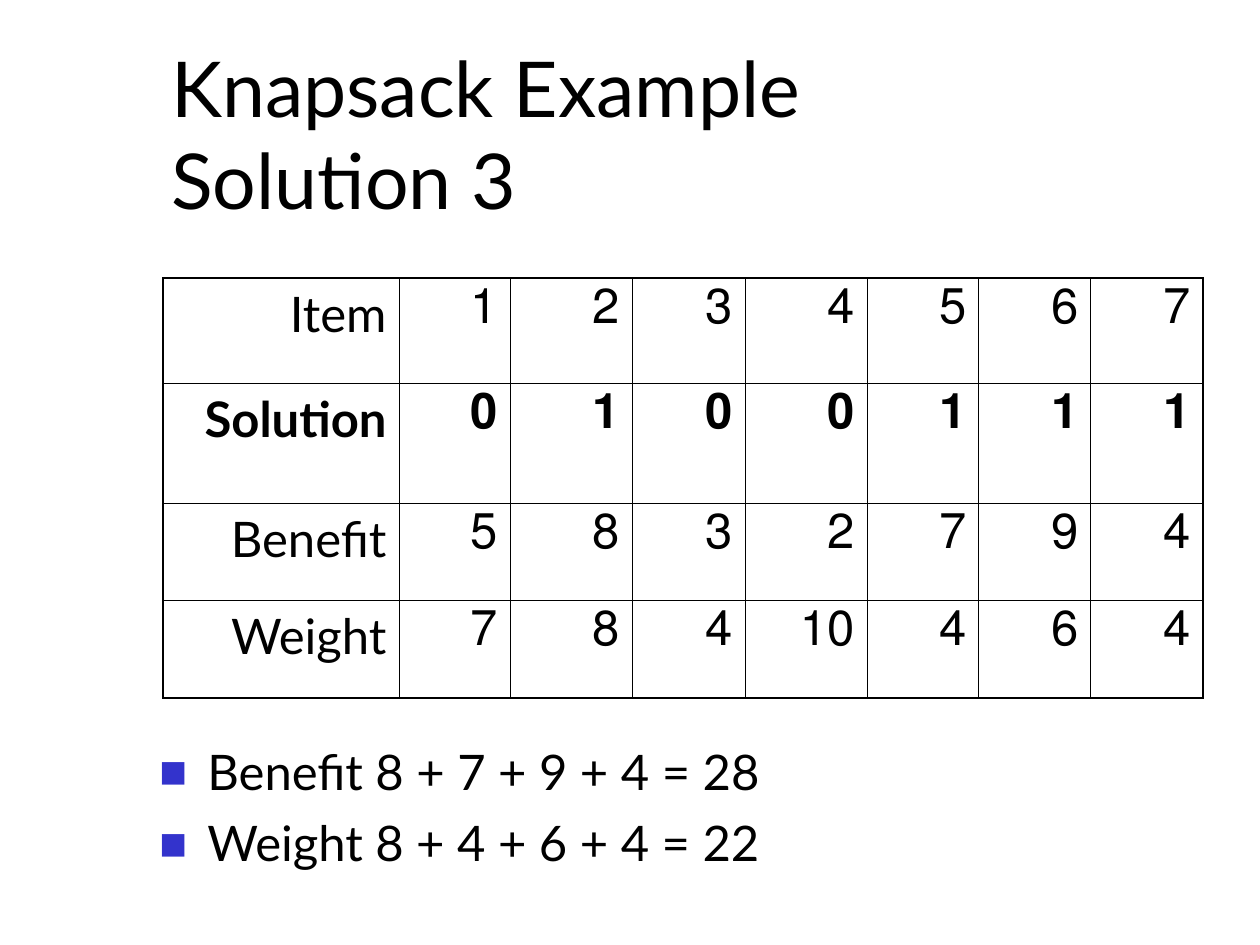
from dataclasses import dataclass

from lxml.etree import SubElement
from pptx import Presentation
from pptx.dml.color import RGBColor
from pptx.enum.text import MSO_ANCHOR, PP_ALIGN
from pptx.oxml.ns import qn
from pptx.util import Emu, Pt

EMU_PER_PX = 914400 / 126
FONT = "Lato"
BODY_SIZE = 28
COLORS = {"paper": "FFFFFF", "ink": "000000", "bullet": "3333CC"}
OUTER_BORDER, INNER_BORDER = 1.08, 0.45


@dataclass(frozen=True)
class Box:
    left: int
    top: int
    width: int
    height: int


@dataclass(frozen=True)
class ItemRow:
    label: str
    values: tuple[int, ...]
    height: int
    bold: bool = False


TITLE_LINES = ("Knapsack Example", "Solution 3")
TITLE_BOX = Box(159, 29, 1074, 202)
TOTALS = ("Benefit 8 + 7 + 9 + 4 = 28", "Weight 8 + 4 + 6 + 4 = 22")
TOTALS_BOX = Box(147, 735, 966, 147)
TABLE_LEFT, TABLE_TOP = 163, 278
COLUMN_WIDTHS = (236, 111, 122, 113, 122, 112, 112, 112)
ITEM_ROWS = (
    ItemRow("Item", (1, 2, 3, 4, 5, 6, 7), 105),
    ItemRow("Solution", (0, 1, 0, 0, 1, 1, 1), 120, bold=True),
    ItemRow("Benefit", (5, 8, 3, 2, 7, 9, 4), 97),
    ItemRow("Weight", (7, 8, 4, 10, 4, 6, 4), 98),
)


def px(length: int) -> Emu:
    return Emu(round(length * EMU_PER_PX))


def add_run(paragraph, text: str, size: int, bold: bool = False) -> None:
    run = paragraph.add_run()
    run.text = text
    run.font.name = FONT
    run.font.size = Pt(size)
    run.font.bold = bold
    run.font.color.rgb = RGBColor.from_string(COLORS["ink"])


def add_text_frame(slide, box: Box):
    frame = slide.shapes.add_textbox(
        px(box.left), px(box.top), px(box.width), px(box.height)).text_frame
    frame.word_wrap = True
    return frame


def add_bullet(paragraph) -> None:
    properties = paragraph._p.get_or_add_pPr()
    properties.set("marL", str(px(48)))
    properties.set("indent", str(-px(48)))
    color = SubElement(properties, qn("a:buClr"))
    SubElement(color, qn("a:srgbClr"), val=COLORS["bullet"])
    SubElement(properties, qn("a:buSzPct"), val="60000")
    SubElement(properties, qn("a:buFont"), typeface=FONT)
    SubElement(properties, qn("a:buChar"), char="■")


def set_borders(cell, row: int, column: int) -> None:
    outer_edges = {
        "a:lnL": column == 0,
        "a:lnR": column == len(COLUMN_WIDTHS) - 1,
        "a:lnT": row == 0,
        "a:lnB": row == len(ITEM_ROWS) - 1,
    }
    properties = cell._tc.get_or_add_tcPr()
    for edge, is_outer in outer_edges.items():
        width = Pt(OUTER_BORDER if is_outer else INNER_BORDER)
        line = SubElement(properties, qn(edge), w=str(width))
        fill = SubElement(line, qn("a:solidFill"))
        SubElement(fill, qn("a:srgbClr"), val=COLORS["ink"])


def add_title(slide) -> None:
    frame = add_text_frame(slide, TITLE_BOX)
    frame.vertical_anchor = MSO_ANCHOR.BOTTOM
    paragraph = frame.paragraphs[0]
    for index, line in enumerate(TITLE_LINES):
        if index:
            paragraph.add_line_break()
        add_run(paragraph, line, 44)


def add_item_table(slide) -> None:
    table = slide.shapes.add_table(
        len(ITEM_ROWS), len(COLUMN_WIDTHS), px(TABLE_LEFT), px(TABLE_TOP),
        px(sum(COLUMN_WIDTHS)), px(sum(row.height for row in ITEM_ROWS))).table
    table.first_row = table.horz_banding = False
    for column, width in zip(table.columns, COLUMN_WIDTHS):
        column.width = px(width)
    for row_index, item_row in enumerate(ITEM_ROWS):
        table.rows[row_index].height = px(item_row.height)
        for column_index, entry in enumerate((item_row.label, *item_row.values)):
            cell = table.cell(row_index, column_index)
            set_borders(cell, row_index, column_index)
            cell.fill.background()
            paragraph = cell.text_frame.paragraphs[0]
            paragraph.alignment = PP_ALIGN.RIGHT
            paragraph._p.get_or_add_pPr().set("rtl", "1")
            add_run(paragraph, str(entry), BODY_SIZE, item_row.bold)


def add_totals(slide) -> None:
    frame = add_text_frame(slide, TOTALS_BOX)
    for index, total in enumerate(TOTALS):
        paragraph = frame.add_paragraph() if index else frame.paragraphs[0]
        if index:
            paragraph.space_before = Pt(7)
        add_bullet(paragraph)
        add_run(paragraph, total, BODY_SIZE)


def main() -> None:
    presentation = Presentation()
    presentation.slide_width, presentation.slide_height = px(1260), px(945)
    slide = presentation.slides.add_slide(presentation.slide_layouts[6])
    background = slide.background.fill
    background.solid()
    background.fore_color.rgb = RGBColor.from_string(COLORS["paper"])

    # Heading, item table and the totals below it
    add_title(slide)
    add_item_table(slide)
    add_totals(slide)
    presentation.save("out.pptx")


if __name__ == "__main__":
    main()
